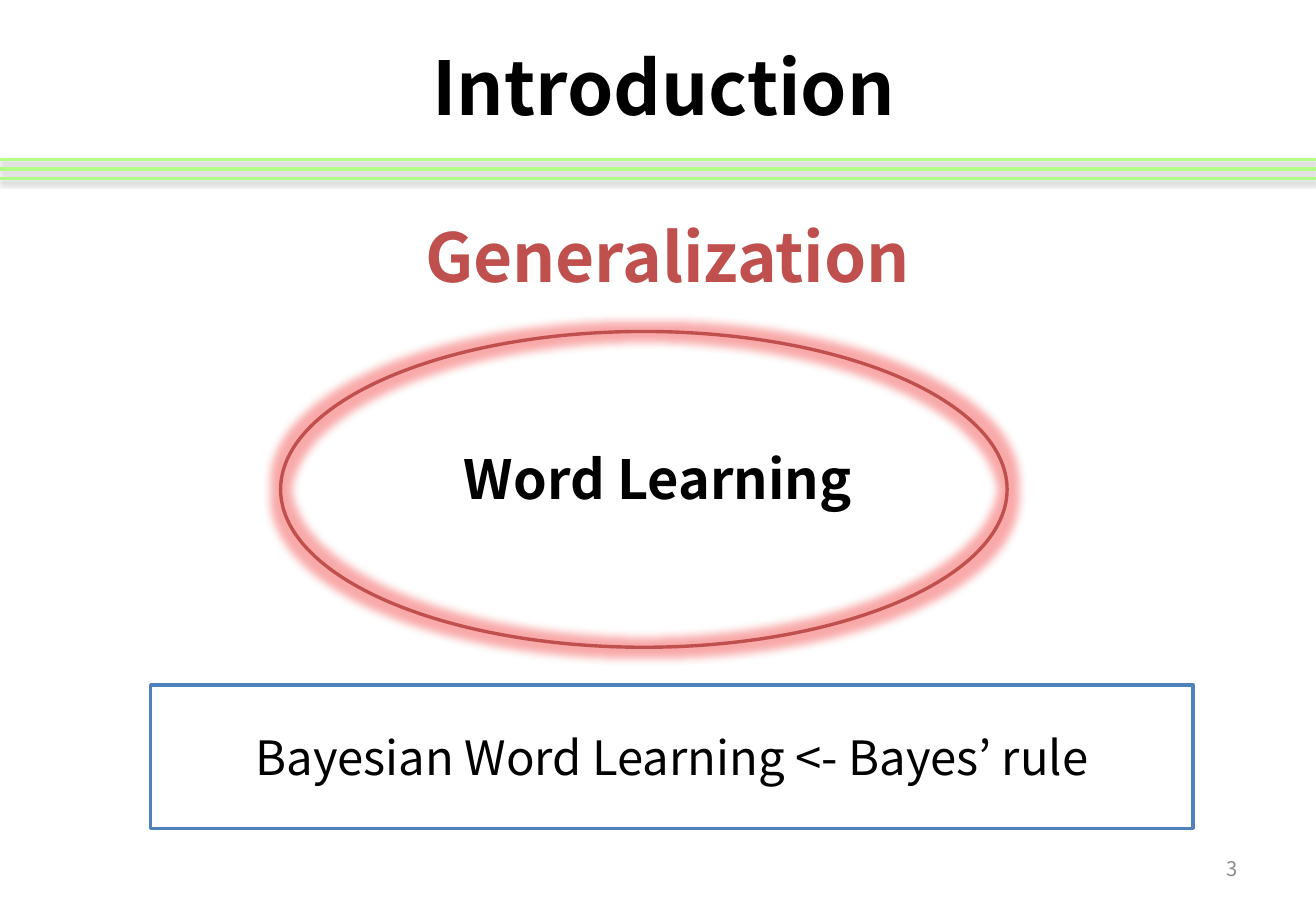
from dataclasses import dataclass
from typing import Optional

from lxml.etree import SubElement
from pptx import Presentation
from pptx.dml.color import RGBColor
from pptx.enum.shapes import MSO_CONNECTOR as Connector, MSO_SHAPE as Preset
from pptx.enum.text import MSO_ANCHOR as Anchor, PP_ALIGN as Align
from pptx.oxml.ns import qn
from pptx.util import Pt


@dataclass(frozen=True)
class Theme:
    font: str = "Noto Sans CJK KR"
    black: str = "000000"
    white: str = "FFFFFF"
    gray: str = "8C8C8C"
    red: str = "C0504D"
    glow: str = "F02828"
    blue: str = "4F81BD"
    green: str = "B5FC84"
    title_size: float = 44
    heading_size: float = 40
    topic_size: float = 32
    rule_size: float = 28
    number_size: float = 12
    line_width: float = 2


@dataclass(frozen=True)
class Box:
    left: float
    top: float
    width: float
    height: float

    def lengths(self) -> tuple:
        return Pt(self.left), Pt(self.top), Pt(self.width), Pt(self.height)


@dataclass(frozen=True)
class Label:
    text: str
    box: Box
    size: float
    color: str
    bold: bool = True
    align: Align = Align.CENTER


@dataclass(frozen=True)
class Outline:
    preset: Preset
    box: Box
    color: str
    fill: Optional[str] = None


THEME = Theme()
SLIDE_WIDTH, SLIDE_HEIGHT = 780, 540
STRIPE_TOP, STRIPE_GAP, STRIPE_COUNT = 94.5, 5.7, 3

RULE_BOX = Box(89.3, 406, 617.8, 85)
ELLIPSE = Outline(Preset.OVAL, Box(166.3, 196.5, 430.6, 187.2), THEME.red)
RULE_FRAME = Outline(Preset.RECTANGLE, RULE_BOX, THEME.blue, THEME.white)

LABELS = [
    Label("Introduction", Box(42.5, 5.8, 702, 90), THEME.title_size, THEME.black),
    Label("Generalization", Box(194.4, 100.1, 402.5, 102.2), THEME.heading_size, THEME.red),
    Label("Word Learning", Box(38.9, 260.5, 702, 46), THEME.topic_size, THEME.black),
    Label("Bayesian Word Learning <- Bayes’ rule", RULE_BOX, THEME.rule_size,
          THEME.black, bold=False),
    Label("3", Box(558.7, 500.4, 182.2, 28.8), THEME.number_size, THEME.gray,
          bold=False, align=Align.RIGHT),
]


def add_effect(shape, kind: str, color: str, opacity: int, **lengths: int) -> None:
    """Give a shape one effect, such as a glow or an outer shadow."""
    properties = shape._element.spPr
    effects = properties.find(qn("a:effectLst"))
    if effects is None:
        effects = SubElement(properties, qn("a:effectLst"))
    attributes = {name: str(value) for name, value in lengths.items()}
    effect = SubElement(effects, qn(kind), attributes)
    tint = SubElement(effect, qn("a:srgbClr"), val=color)
    SubElement(tint, qn("a:alpha"), val=str(opacity * 1000))


def set_line(shape, color: str) -> None:
    shape.line.color.rgb = RGBColor.from_string(color)
    shape.line.width = Pt(THEME.line_width)


def add_stripe(slide, top: float) -> None:
    stripe = slide.shapes.add_connector(
        Connector.STRAIGHT, Pt(0), Pt(top), Pt(SLIDE_WIDTH), Pt(top))
    set_line(stripe, THEME.green)
    add_effect(stripe, "a:outerShdw", THEME.black, 38,
               blurRad=Pt(3.1), dist=Pt(1.6), dir=90 * 60000)


def add_outline(slide, outline: Outline):
    shape = slide.shapes.add_shape(outline.preset, *outline.box.lengths())
    shape.shadow.inherit = False
    if outline.fill:
        shape.fill.solid()
        shape.fill.fore_color.rgb = RGBColor.from_string(outline.fill)
    else:
        shape.fill.background()
    set_line(shape, outline.color)
    return shape


def write_label(shape, label: Label) -> None:
    frame = shape.text_frame
    frame.text = label.text
    frame.word_wrap = True
    frame.vertical_anchor = Anchor.MIDDLE
    paragraph = frame.paragraphs[0]
    paragraph.alignment = label.align
    for run in paragraph.runs:
        run.font.name = THEME.font
        run.font.size = Pt(label.size)
        run.font.bold = label.bold
        run.font.color.rgb = RGBColor.from_string(label.color)


def main() -> None:
    presentation = Presentation()
    presentation.slide_width = Pt(SLIDE_WIDTH)
    presentation.slide_height = Pt(SLIDE_HEIGHT)
    slide = presentation.slides.add_slide(presentation.slide_layouts[6])

    # Green stripes under the title
    for index in range(STRIPE_COUNT):
        add_stripe(slide, STRIPE_TOP + index * STRIPE_GAP)

    # Glowing ellipse and framed rule
    ellipse = add_outline(slide, ELLIPSE)
    add_effect(ellipse, "a:glow", THEME.glow, 40, rad=Pt(11))
    rule_frame = add_outline(slide, RULE_FRAME)

    # Wording; the rule is written inside its frame
    for label in LABELS:
        if label.box == RULE_BOX:
            write_label(rule_frame, label)
        else:
            write_label(slide.shapes.add_textbox(*label.box.lengths()), label)

    presentation.save("out.pptx")


if __name__ == "__main__":
    main()
